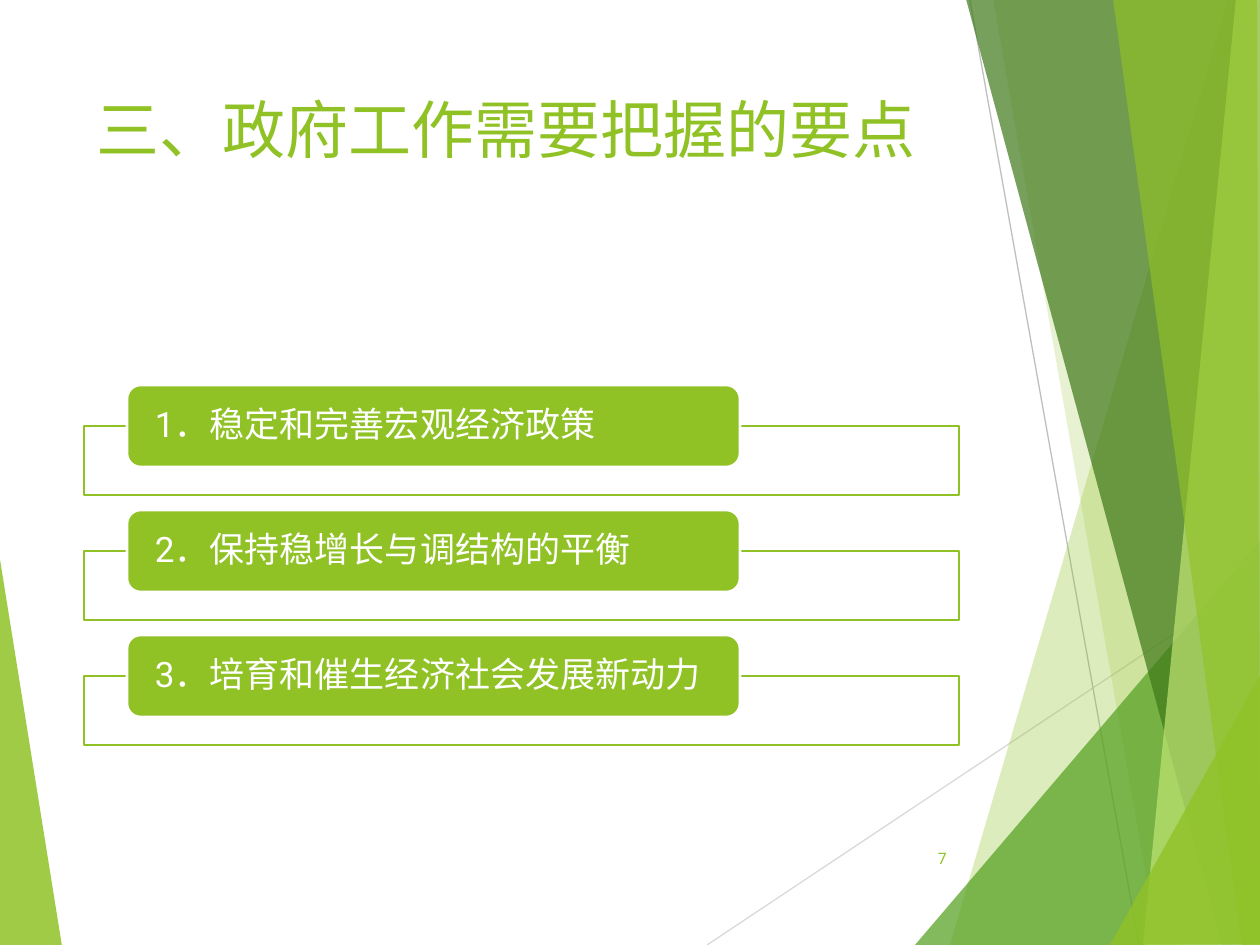
import pptx
import pptx.dml.color
import pptx.enum.shapes
import pptx.enum.text
import pptx.oxml.ns
import pptx.util
from lxml import etree

SCALE = 914400 / 126
GREEN = "90C226"
WHITE = "FFFFFF"
FONT = "Roboto"
LEFT_WEDGE = ([(-1, 553), (62, 946), (-1, 945)], GREEN, 85)
RIGHT_FACETS = [
    ([(1228, 0), (950, 945), (1262, 946), (1261, 1)], GREEN, 30),
    ([(993, -1), (1158, 945), (1261, 945), (1261, -1)], GREEN, 20),
    ([(915, 945), (1260, 541), (1261, 945)], "54A021", 72),
    ([(966, -1), (1222, 945), (1261, 944), (1261, -1)], "3F7819", 70),
    ([(1236, -1), (1143, 945), (1261, 945), (1260, -1)], "C0E474", 70),
    ([(1113, -1), (1242, 945), (1260, 945), (1257, -1)], GREEN, 65),
    ([(1110, 945), (1261, 674), (1261, 944)], GREEN, 80),
]
POINTS = [
    "1．稳定和完善宏观经济政策",
    "2．保持稳增长与调结构的平衡",
    "3．培育和催生经济社会发展新动力",
]
ROW_TOP = 386
ROW_PITCH = 125


def px(length):
    return pptx.util.Emu(round(length * SCALE))


def color(value):
    return pptx.dml.color.RGBColor.from_string(value)


def paint(shape, fill, opacity=100, line=None):
    shape.shadow.inherit = False
    shape.fill.solid()
    shape.fill.fore_color.rgb = color(fill)
    if opacity < 100:
        fill_color = shape._element.spPr.find(
            pptx.oxml.ns.qn("a:solidFill") + "/" + pptx.oxml.ns.qn("a:srgbClr"))
        alpha = etree.SubElement(fill_color, pptx.oxml.ns.qn("a:alpha"))
        alpha.set("val", str(opacity * 1000))
    if line:
        shape.line.color.rgb = color(line)
        shape.line.width = pptx.util.Pt(1.5)
    else:
        shape.line.fill.background()


def add_facet(slide, corners, fill, opacity):
    builder = slide.shapes.build_freeform(*corners[0], scale=SCALE)
    builder.add_line_segments(corners[1:], close=True)
    paint(builder.convert_to_shape(), fill, opacity)


def add_line(slide, start, end, line):
    connector = slide.shapes.add_connector(
        pptx.enum.shapes.MSO_CONNECTOR.STRAIGHT,
        *map(px, start + end))
    connector.line.color.rgb = color(line)
    connector.line.width = pptx.util.Pt(0.75)
    etree.SubElement(connector._element.spPr, pptx.oxml.ns.qn("a:effectLst"))


def add_box(slide, kind, bounds, fill, opacity, line):
    shape = slide.shapes.add_shape(kind, *map(px, bounds))
    paint(shape, fill, opacity, line)
    return shape


def write(shape, text, size, font_color, anchor, alignment):
    frame = shape.text_frame
    frame.word_wrap = True
    frame.vertical_anchor = anchor
    paragraph = frame.paragraphs[0]
    paragraph.text = text
    paragraph.alignment = alignment
    paragraph.font.name = FONT
    paragraph.font.size = pptx.util.Pt(size)
    paragraph.font.color.rgb = color(font_color)
    return frame


def add_text(slide, bounds, *style):
    write(slide.shapes.add_textbox(*map(px, bounds)), *style)


def add_point(slide, top, text):
    kinds = pptx.enum.shapes.MSO_SHAPE
    add_box(slide, kinds.RECTANGLE, (84, top + 40, 875, 69), WHITE, 90, GREEN)
    label = add_box(slide, kinds.ROUNDED_RECTANGLE, (127, top - 1, 613, 82), GREEN, 100, WHITE)
    frame = write(label, text, 20, WHITE, pptx.enum.text.MSO_ANCHOR.MIDDLE,
                  pptx.enum.text.PP_ALIGN.LEFT)
    frame.margin_left = frame.margin_right = px(24)
    frame.margin_top = frame.margin_bottom = 0
    frame.paragraphs[0].line_spacing = 0.9


def main():
    presentation = pptx.Presentation()
    presentation.slide_width = px(1260)
    presentation.slide_height = px(945)
    slide = presentation.slides.add_slide(presentation.slide_layouts[6])

    add_facet(slide, *LEFT_WEDGE)
    add_line(slide, (707, 945), (1261, 576), "D9D9D9")
    add_line(slide, (970, 0), (1139, 945), "BFBFBF")
    for facet in RIGHT_FACETS:
        add_facet(slide, *facet)

    anchors = pptx.enum.text.MSO_ANCHOR
    alignments = pptx.enum.text.PP_ALIGN
    add_text(slide, (84, 84, 875, 181), "三、政府工作需要把握的要点", 36, GREEN,
             anchors.TOP, alignments.LEFT)
    for index, text in enumerate(POINTS):
        add_point(slide, ROW_TOP + index * ROW_PITCH, text)
    add_text(slide, (888, 833, 71, 50), "7", 9, GREEN, anchors.MIDDLE, alignments.RIGHT)

    presentation.save("out.pptx")


if __name__ == "__main__":
    main()
